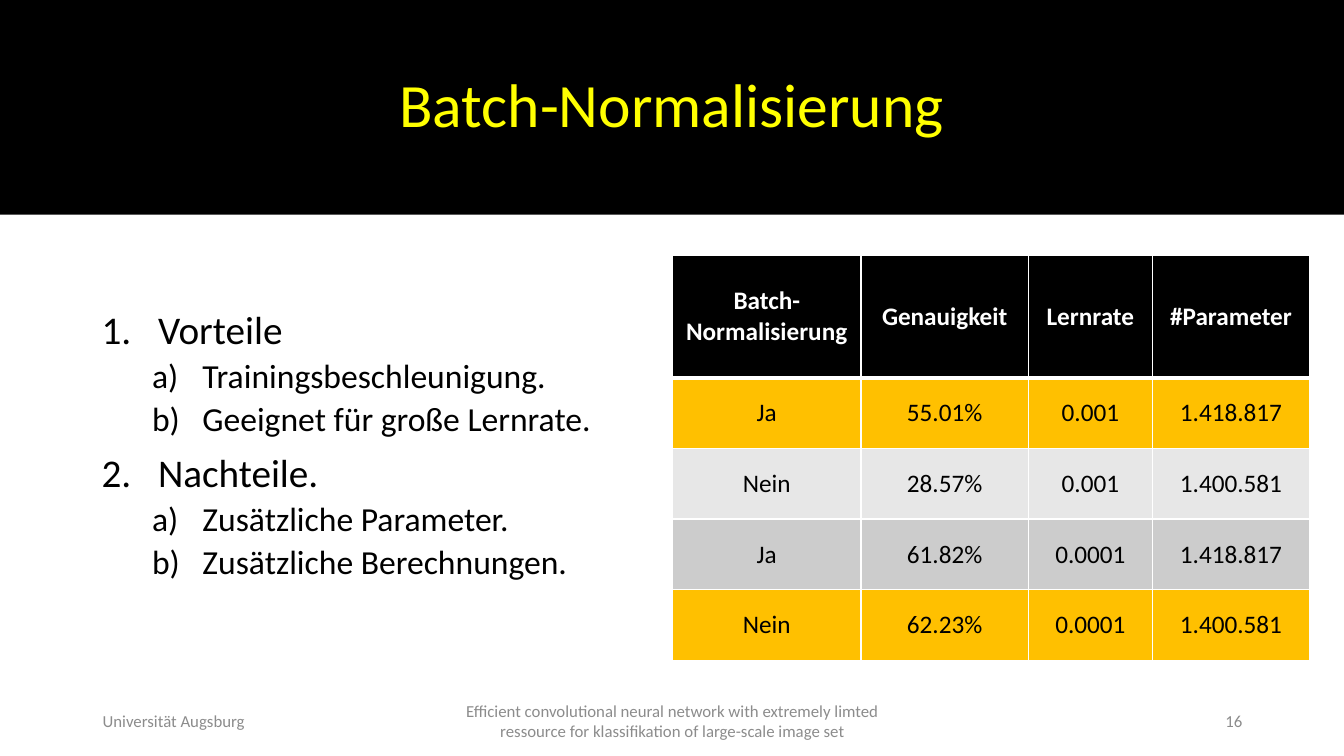
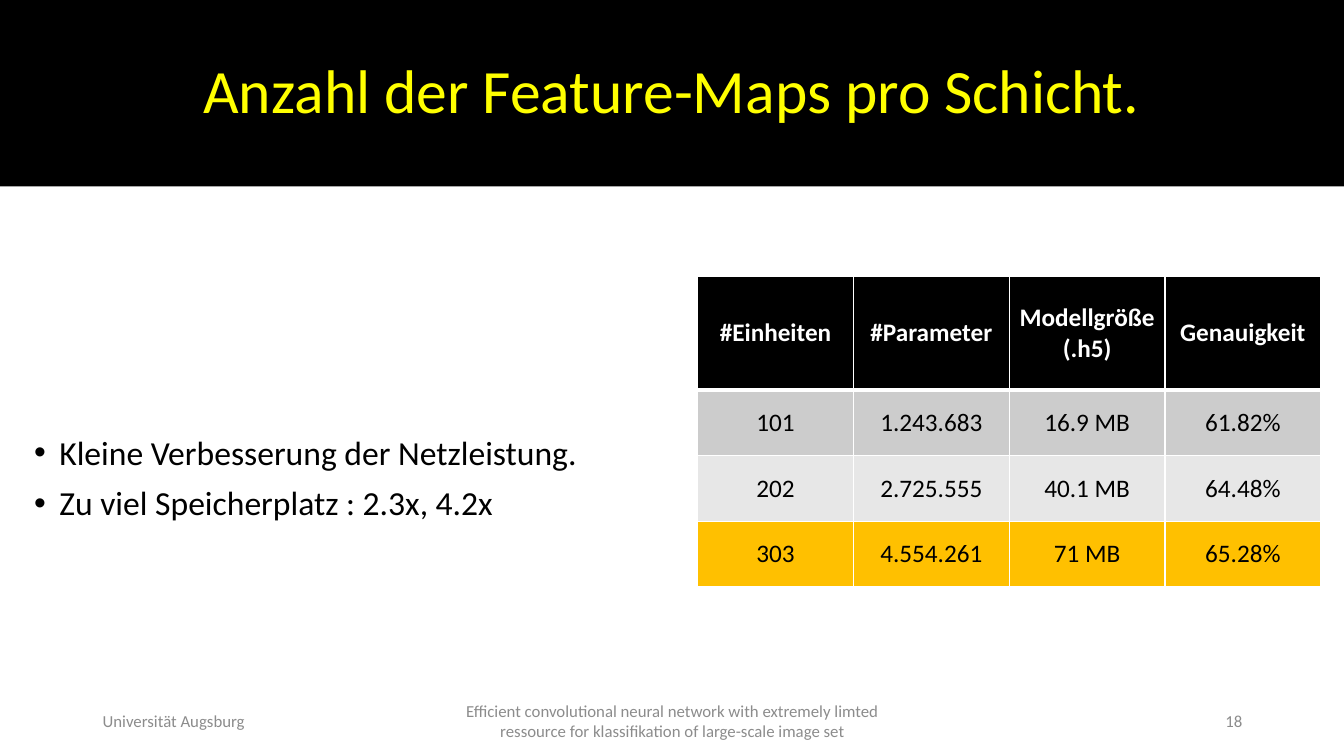
"""Build two slides that compare network variants in tables."""
from dataclasses import dataclass

from lxml import etree
from pptx import Presentation
from pptx.dml.color import RGBColor
from pptx.enum.shapes import MSO_SHAPE
from pptx.enum.text import MSO_ANCHOR, PP_ALIGN
from pptx.oxml.ns import qn
from pptx.util import Inches, Pt

RECTANGLE = MSO_SHAPE.RECTANGLE
TOP, MIDDLE = MSO_ANCHOR.TOP, MSO_ANCHOR.MIDDLE
LEFT, CENTER, RIGHT = PP_ALIGN.LEFT, PP_ALIGN.CENTER, PP_ALIGN.RIGHT


@dataclass(frozen=True)
class Theme:
    """Colours, font and type sizes shared by the slides."""
    font: str = "Calibri"
    black: str = "000000"
    white: str = "FFFFFF"
    yellow: str = "FFFF00"
    highlight: str = "FFC000"
    dark_band: str = "CCCCCC"
    light_band: str = "E7E7E7"
    footer_gray: str = "8C8C8C"
    title_size: int = 44
    topic_size: int = 28
    detail_size: int = 24
    cell_size: int = 18
    footer_size: int = 12
    thin_border: int = 1
    thick_border: int = 3


THEME = Theme()
WIDTH, HEIGHT = 13.33, 7.5
BODY_SPACING = {"line_spacing": 0.9, "space_before": Pt(10)}
DETAIL_SPACING = {"line_spacing": 0.9, "space_before": Pt(5), "level": 1}
BULLETS = {
    "topic": ("buAutoNum", {"type": "arabicPeriod"}, 0.56, 0.56),
    "detail": ("buAutoNum", {"type": "alphaLcParenR"}, 1, 0.5),
    "point": ("buChar", {"char": "•"}, 0.25, 0.25),
}
FOOTER_TEXT = ("Efficient convolutional neural network with extremely limted "
               "ressource for klassifikation of large-scale image set")


def apply_format(target, values):
    """Set each named attribute on the target."""
    for name, value in values.items():
        setattr(target, name, value)


def add_span(para, text, size, color, bold=False):
    """Add one formatted run to a paragraph."""
    span = para.add_run()
    span.text = text
    apply_format(span.font, {"name": THEME.font, "size": Pt(size), "bold": bold})
    span.font.color.rgb = RGBColor.from_string(color)


def add_paragraph(frame, index, text, size, color, bold=False, **values):
    """Write a paragraph, using the frame's first one for index 0."""
    para = frame.add_paragraph() if index else frame.paragraphs[0]
    apply_format(para, values)
    add_span(para, text, size, color, bold)
    return para


def add_text_box(page, left, top, width, height, anchor):
    """Add a wrapping text box and return its frame."""
    box = page.shapes.add_textbox(*map(Inches, (left, top, width, height)))
    apply_format(box.text_frame, {"word_wrap": True, "vertical_anchor": anchor})
    return box.text_frame


def set_solid_fill(target, color):
    """Fill a shape or cell with one colour."""
    target.fill.solid()
    target.fill.fore_color.rgb = RGBColor.from_string(color)


def add_title_band(page, text, height):
    """Add the full-width black band with its title."""
    band = page.shapes.add_shape(RECTANGLE, 0, 0, Inches(WIDTH), Inches(height))
    band.shadow.inherit = False
    set_solid_fill(band, THEME.black)
    band.line.fill.background()
    apply_format(band.text_frame, {"word_wrap": True, "vertical_anchor": MIDDLE})
    add_paragraph(band.text_frame, 0, text, THEME.title_size, THEME.yellow,
                  alignment=CENTER, line_spacing=0.9)


def set_bullet(para, kind):
    """Give a paragraph its bullet or number and hanging indent."""
    tag, attributes, margin, hanging = BULLETS[kind]
    properties = para._p.get_or_add_pPr()
    properties.set("marL", str(Inches(margin)))
    properties.set("indent", str(-Inches(hanging)))
    font_tag = etree.SubElement(properties, qn("a:buFont"))
    font_tag.set("typeface", "Arial" if tag == "buChar" else THEME.font)
    etree.SubElement(properties, qn(f"a:{tag}"), attributes)


def add_list(page, place, items, anchor=TOP):
    """Add a list of (kind, text) items."""
    frame = add_text_box(page, *place, anchor)
    for index, (kind, text) in enumerate(items):
        size = THEME.topic_size if kind == "topic" else THEME.detail_size
        spacing = DETAIL_SPACING if kind == "detail" else BODY_SPACING
        para = add_paragraph(frame, index, text, size, THEME.black, **spacing)
        set_bullet(para, kind)


def set_borders(cell, top, bottom):
    """Draw white cell borders with the given top and bottom widths."""
    properties = cell._tc.get_or_add_tcPr()
    widths = {"lnL": THEME.thin_border, "lnR": THEME.thin_border,
              "lnT": top, "lnB": bottom}
    for position, (tag, width) in enumerate(widths.items()):
        line = etree.Element(qn(f"a:{tag}"), {"w": str(Pt(width))})
        fill = etree.SubElement(line, qn("a:solidFill"))
        etree.SubElement(fill, qn("a:srgbClr"), {"val": THEME.white})
        properties.insert(position, line)


def fill_cell(cell, text, row, fill):
    """Write and style one table cell."""
    header = row == 0
    set_solid_fill(cell, fill)
    cell.vertical_anchor = MIDDLE
    color = THEME.white if header else THEME.black
    for index, line in enumerate(text.split("\n")):
        add_paragraph(cell.text_frame, index, line, THEME.cell_size, color,
                      header, alignment=CENTER)
    set_borders(cell,
                THEME.thick_border if row == 1 else THEME.thin_border,
                THEME.thick_border if header else THEME.thin_border)


def add_result_table(page, left, top, widths, heights, rows, fills):
    """Add a table with a black header and one fill per body row."""
    header_height, body_height = heights
    total_height = header_height + body_height * len(fills)
    table = page.shapes.add_table(
        len(rows), len(widths),
        *map(Inches, (left, top, sum(widths), total_height))).table
    table.horz_banding = False
    for column, width in zip(table.columns, widths):
        column.width = Inches(width)
    for index, (values, fill) in enumerate(zip(rows, (THEME.black, *fills))):
        table.rows[index].height = Inches(body_height if index else header_height)
        for cell, text in zip(table.rows[index].cells, values):
            fill_cell(cell, text, index, fill)


def add_footer(page, number):
    """Add the institution, talk title and slide number."""
    parts = ((0.92, 3, LEFT, "Universität Augsburg"),
             (4.42, 4.5, CENTER, FOOTER_TEXT),
             (9.42, 3, RIGHT, str(number)))
    for left, width, alignment, text in parts:
        frame = add_text_box(page, left, 6.95, width, 0.4, MIDDLE)
        add_paragraph(frame, 0, text, THEME.footer_size, THEME.footer_gray,
                      alignment=alignment)


def add_page(deck, title, band_height, number):
    """Add a blank page with title band and footer."""
    page = deck.slides.add_slide(deck.slide_layouts[6])
    add_title_band(page, title, band_height)
    add_footer(page, number)
    return page


def build_normalization_page(deck):
    """Build the batch normalization page."""
    page = add_page(deck, "Batch-Normalisierung", 2.13, 16)
    add_list(page, (0.91, 3.03, 5.64, 4.03), (
        ("topic", "Vorteile"),
        ("detail", "Trainingsbeschleunigung."),
        ("detail", "Geeignet für große Lernrate."),
        ("topic", "Nachteile."),
        ("detail", "Zusätzliche Parameter."),
        ("detail", "Zusätzliche Berechnungen."),
    ))
    add_result_table(page, 6.67, 2.53, (1.87, 1.66, 1.23, 1.56), (1.22, 0.7), (
        ("Batch-Normalisierung", "Genauigkeit", "Lernrate", "#Parameter"),
        ("Ja", "55.01%", "0.001", "1.418.817"),
        ("Nein", "28.57%", "0.001", "1.400.581"),
        ("Ja", "61.82%", "0.0001", "1.418.817"),
        ("Nein", "62.23%", "0.0001", "1.400.581"),
    ), (THEME.highlight, THEME.light_band, THEME.dark_band, THEME.highlight))


def build_feature_map_page(deck):
    """Build the page on feature maps per layer."""
    page = add_page(deck, "Anzahl der Feature-Maps pro Schicht.", 1.85, 18)
    add_list(page, (0.24, 2.74, 6.31, 4.03), (
        ("point", "Kleine Verbesserung der Netzleistung."),
        ("point", "Zu viel Speicherplatz : 2.3x, 4.2x"),
    ), MIDDLE)
    add_result_table(page, 6.92, 2.74, (6.18 / 4,) * 4, (1.13, 0.65), (
        ("#Einheiten", "#Parameter", "Modellgröße\n(.h5)", "Genauigkeit"),
        ("101", "1.243.683", "16.9 MB", "61.82%"),
        ("202", "2.725.555", "40.1 MB", "64.48%"),
        ("303", "4.554.261", "71 MB", "65.28%"),
    ), (THEME.dark_band, THEME.light_band, THEME.highlight))


def main():
    """Create and save the deck."""
    deck = Presentation()
    apply_format(deck, {"slide_width": Inches(WIDTH),
                        "slide_height": Inches(HEIGHT)})
    build_normalization_page(deck)
    build_feature_map_page(deck)
    deck.save("out.pptx")


if __name__ == "__main__":
    main()
